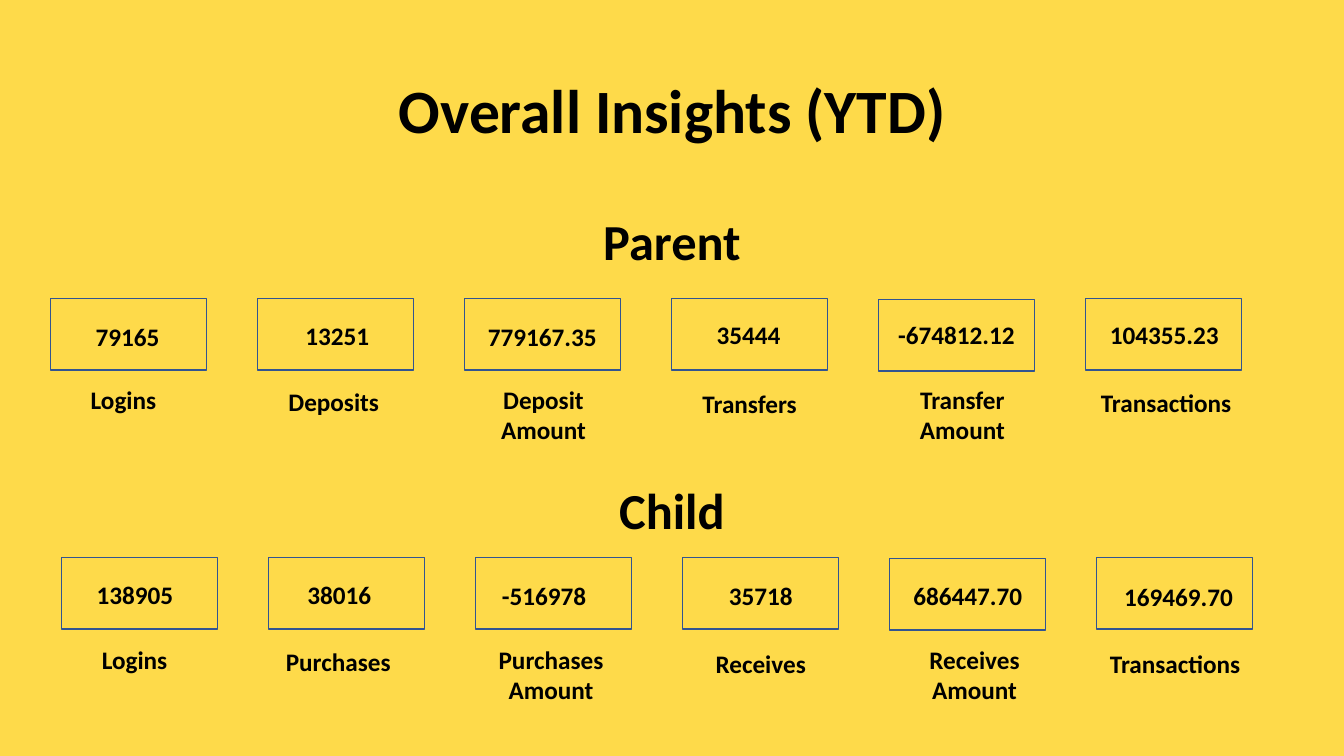
import pptx
import pptx.dml.color
import pptx.enum.shapes
import pptx.enum.text
import pptx.oxml.ns
import pptx.util
import lxml.etree

Inches = pptx.util.Inches
Pt = pptx.util.Pt
Align = pptx.enum.text.PP_ALIGN
COLOURS = {"background": "FEDA4A", "text": "000000", "outline": "325491"}
BOX_STEP = 2.053

PARENT = {
    "left": 0.5, "top": 2.96,
    "metrics": [
        ("79165", 0.85, 3.14, 0.84, "Logins", 0.5, 3.76, 1.45),
        ("13251", 2.93, 3.13, 0.84, "Deposits", 2.52, 3.78, 1.58),
        ("779167.35", 4.74, 3.14, 1.29, "Deposit Amount", 4.63, 3.76, 1.52),
        ("35444", 7.01, 3.12, 0.84, "Transfers", 6.71, 3.8, 1.45),
        ("-674812.12", 8.81, 3.12, 1.37, "Transfer Amount", 8.82, 3.76, 1.45),
        ("104355.23", 10.91, 3.12, 1.29, "Transactions", 10.79, 3.79, 1.55),
    ],
}
CHILD = {
    "left": 0.61, "top": 5.53,
    "metrics": [
        ("138905", 0.86, 5.7, 0.97, "Logins", 0.61, 6.34, 1.45),
        ("38016", 2.95, 5.7, 0.84, "Purchases", 2.63, 6.36, 1.45),
        ("-516978", 4.88, 5.71, 1.05, "Purchases Amount", 4.74, 6.34, 1.45),
        ("35718", 7.13, 5.71, 0.84, "Receives", 6.82, 6.38, 1.45),
        ("686447.70", 8.96, 5.71, 1.29, "Receives Amount", 8.94, 6.34, 1.45),
        ("169469.70", 11.05, 5.72, 1.29, "Transactions", 10.88, 6.38, 1.55),
    ],
}


class InsightsPage:
    font = "Calibri"

    def __init__(self, deck):
        self.page = deck.slides.add_slide(deck.slide_layouts[1])
        fill = self.page.background.fill
        fill.solid()
        fill.fore_color.rgb = self.colour("background")

    def colour(self, name):
        return pptx.dml.color.RGBColor.from_string(COLOURS[name])

    def add_text(self, box, text, size, align=Align.CENTER, wrap=True):
        frame = box.text_frame
        frame.word_wrap = wrap
        frame.auto_size = pptx.enum.text.MSO_AUTO_SIZE.NONE
        para = frame.paragraphs[0]
        para.alignment = align
        span = para.add_run()
        span.text = text
        span.font.name = self.font
        span.font.size = Pt(size)
        span.font.bold = True
        span.font.color.rgb = self.colour("text")
        return para

    def place(self, holder, left, top, width, height):
        holder.left, holder.top = Inches(left), Inches(top)
        holder.width, holder.height = Inches(width), Inches(height)

    def title(self, text):
        holder = self.page.shapes.title
        self.place(holder, 0.92, 0.4, 11.5, 1.45)
        self.add_text(holder, text, 44).line_spacing = 0.9
        holder.text_frame.vertical_anchor = pptx.enum.text.MSO_ANCHOR.MIDDLE

    def heading(self, box, text):
        para = self.add_text(box, text, 36)
        para.line_spacing = 0.9
        para.space_before = Pt(10)
        return para

    def body_heading(self, text):
        holder = self.page.placeholders[1]
        self.place(holder, 0, 2.1, 13.33, 2.46)
        properties = self.heading(holder, text)._p.get_or_add_pPr()
        properties.set("marL", "0")
        properties.set("indent", "0")
        lxml.etree.SubElement(properties, pptx.oxml.ns.qn("a:buNone"))

    def text_box(self, left, top, width, height):
        return self.page.shapes.add_textbox(
            Inches(left), Inches(top), Inches(width), Inches(height))

    def frame(self, left, top):
        box = self.page.shapes.add_shape(
            pptx.enum.shapes.MSO_SHAPE.RECTANGLE,
            Inches(left), Inches(top), Inches(1.55), Inches(0.71))
        box.shadow.inherit = False
        box.fill.background()
        box.line.color.rgb = self.colour("outline")
        box.line.width = Pt(1)

    def value(self, text, left, top, width):
        box = self.text_box(left, top, width, 0.4)
        self.add_text(box, text, 18, Align.LEFT, wrap=False)

    def label(self, text, left, top, width):
        height = 0.71 if " " in text else 0.4
        self.add_text(self.text_box(left, top, width, height), text, 18)

    def metric_row(self, row):
        for column, metric in enumerate(row["metrics"]):
            nudge = 0.01 if column == 4 else 0
            self.frame(row["left"] + column * BOX_STEP, row["top"] + nudge)
            self.value(*metric[:4])
            self.label(*metric[4:])


def main():
    deck = pptx.Presentation()
    deck.slide_width, deck.slide_height = Inches(13.33), Inches(7.5)
    insights = InsightsPage(deck)
    insights.title("Overall Insights (YTD)")
    insights.body_heading("Parent")
    insights.heading(insights.text_box(0, 4.77, 13.33, 2.73), "Child")
    for row in (PARENT, CHILD):
        insights.metric_row(row)
    deck.save("out.pptx")


if __name__ == "__main__":
    main()
